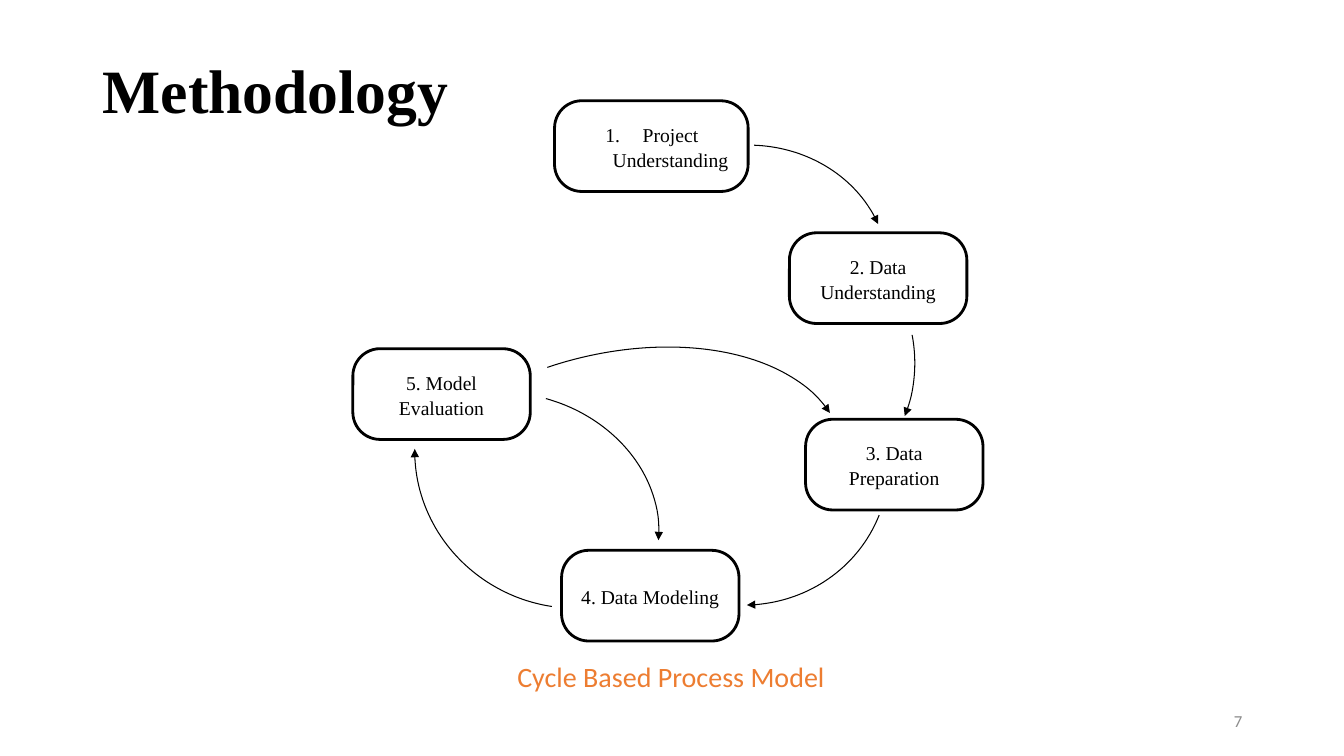
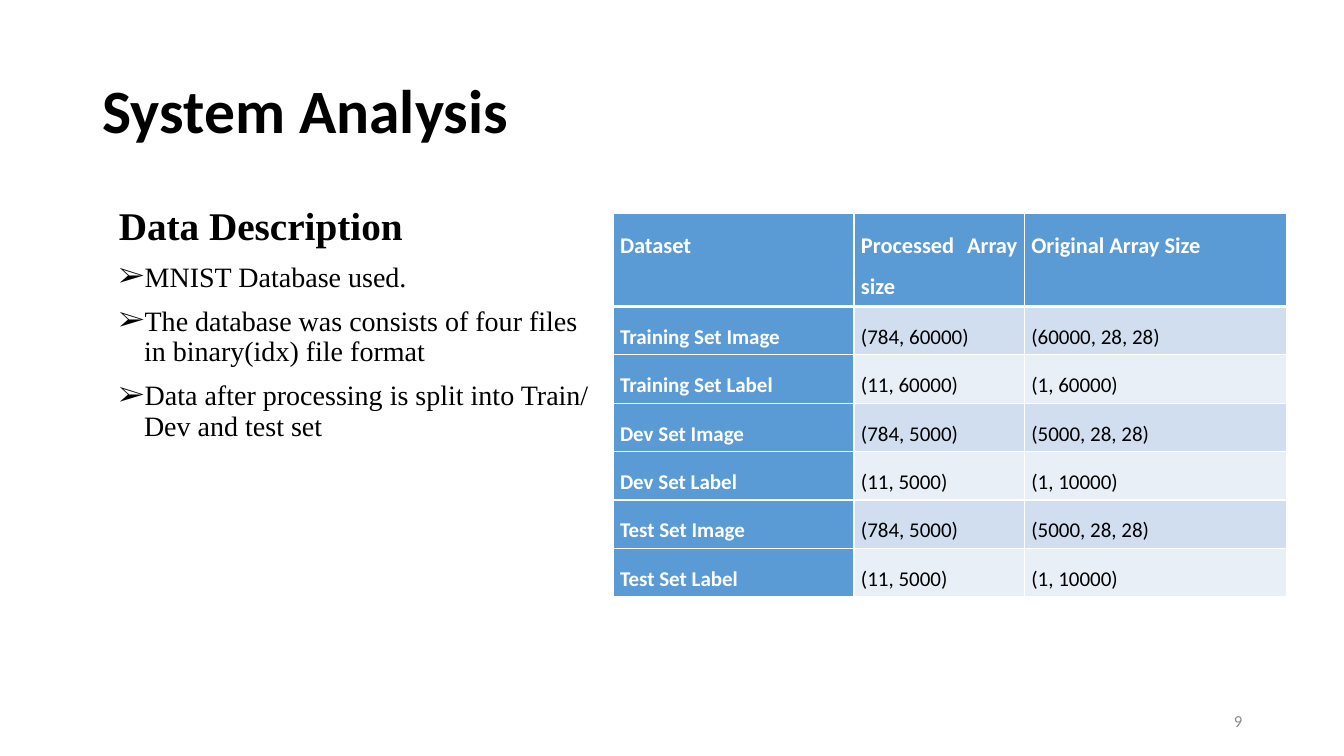
import dataclasses

import pptx
import pptx.dml.color
import pptx.enum.shapes
import pptx.enum.text
import pptx.oxml
import pptx.oxml.ns
import pptx.util
from lxml import etree

Inches = pptx.util.Inches
Pt = pptx.util.Pt
RGB = pptx.dml.color.RGBColor.from_string
ALIGN = pptx.enum.text.PP_ALIGN
MIDDLE = pptx.enum.text.MSO_ANCHOR.MIDDLE
SHAPE = pptx.enum.shapes.MSO_SHAPE
qn = pptx.oxml.ns.qn


@dataclasses.dataclass(frozen=True)
class Theme:
    ink: str = "000000"
    paper: str = "FFFFFF"
    muted: str = "8B8B8B"
    accent: str = "ED7D31"
    header: str = "5B9BD5"
    band_dark: str = "D1DEEF"
    band_light: str = "E9EFF7"
    serif: str = "Times New Roman"
    sans: str = "Calibri"
    title: int = 44
    heading: int = 28
    body: int = 20
    table_head: int = 16
    table_body: int = 15
    step: int = 14
    small: int = 12


theme = Theme()


def write(frame, text, size, font=theme.sans, color=theme.ink, bold=False, align=ALIGN.LEFT,
          spacing=1.0, before=0, after=0, anchor=None, bullet=None, indent=(0, 0)):
    """Fill the frame's first paragraph, or add one below the text already there."""
    frame.word_wrap = True
    if anchor is not None:
        frame.vertical_anchor = anchor
    paragraph = frame.add_paragraph() if frame.text else frame.paragraphs[0]
    paragraph.alignment = align
    paragraph.line_spacing = spacing
    paragraph.space_before, paragraph.space_after = Pt(before), Pt(after)
    run = paragraph.add_run()
    run.text = text
    run.font.size, run.font.name, run.font.bold = Pt(size), font, bold
    run.font.color.rgb = RGB(color)
    if bullet:
        properties = paragraph._p.get_or_add_pPr()
        properties.set("marL", str(Inches(indent[0])))
        properties.set("indent", str(Inches(indent[1])))
        bullet_color = etree.SubElement(properties, qn("a:buClr"))
        etree.SubElement(bullet_color, qn("a:srgbClr"), val=color)
        etree.SubElement(properties, qn("a:buFont"), typeface=font)
        if bullet == "number":
            etree.SubElement(properties, qn("a:buAutoNum"), type="arabicPeriod")
        else:
            etree.SubElement(properties, qn("a:buChar"), char=bullet)


def start_slide(title, title_font, title_height, page):
    """Add a blank slide with its title and page number."""
    slide = deck.slides.add_slide(deck.slide_layouts[6])
    heading = slide.shapes.add_textbox(Inches(0.92), Inches(0.4), Inches(11.5), Inches(title_height))
    write(heading.text_frame, title, theme.title, font=title_font, bold=True, spacing=0.9, anchor=MIDDLE)
    number = slide.shapes.add_textbox(Inches(9.42), Inches(6.95), Inches(3), Inches(0.4))
    write(number.text_frame, page, theme.small, color=theme.muted, align=ALIGN.RIGHT, anchor=MIDDLE)
    return slide


deck = pptx.Presentation()
deck.slide_width, deck.slide_height = Inches(13.33), Inches(7.5)

# Methodology: process steps
methodology = start_slide("Methodology", theme.serif, 1.05, "7")
steps = [
    # text, left, top, width, numbering
    ("Project Understanding", 5.5, 1, 1.92, "number"),
    ("2. Data Understanding", 7.83, 2.31, 1.76, None),
    ("3. Data Preparation", 7.99, 4.16, 1.76, None),
    ("4. Data Modeling", 5.57, 5.46, 1.76, None),
    ("5. Model Evaluation", 3.5, 3.46, 1.76, None),
]
for text, left, top, width, numbering in steps:
    step = methodology.shapes.add_shape(
        SHAPE.ROUNDED_RECTANGLE, Inches(left), Inches(top), Inches(width), Inches(0.9))
    step.adjustments[0] = 0.3
    step.shadow.inherit = False
    step.fill.solid()
    step.fill.fore_color.rgb = RGB(theme.paper)
    step.line.color.rgb = RGB(theme.ink)
    step.line.width = Pt(2)
    write(step.text_frame, text, theme.step, font=theme.serif, align=ALIGN.CENTER, spacing=1.07,
          anchor=MIDDLE, bullet=numbering, indent=(0.38, -0.37))

# Methodology: curved arrows between the steps
flows = [
    # left, top, width, height, rotation, start angle, end angle
    (6.04, 1.44, 2.77, 2.5, 0, 272.56, 340),
    (5.9, 3.07, 2.87, 2.98, 112.4, 269.28, 334.7),
    (4.1, 3.04, 3.11, 2.98, 207.2, 249.77, 335.66),
    (6.42, 2.26, 2.77, 2.5, 69, 282.45, 318.86),
    (3.62, 3.91, 2.93, 2.5, 16, 269.28, 351.85),
    (3.68, 3.52, 4.75, 2.9, 345.3, 259.39, 352.86),
]
ARC_UNITS_PER_DEGREE = 0.6
for left, top, width, height, rotation, start, end in flows:
    flow = methodology.shapes.add_shape(
        SHAPE.ARC, Inches(left), Inches(top), Inches(width), Inches(height))
    flow.adjustments[0] = start * ARC_UNITS_PER_DEGREE
    flow.adjustments[1] = end * ARC_UNITS_PER_DEGREE
    flow.rotation = rotation
    flow.shadow.inherit = False
    flow.fill.background()
    flow.line.color.rgb = RGB(theme.ink)
    flow.line.width = Pt(0.75)
    etree.SubElement(flow.line._get_or_add_ln(), qn("a:tailEnd"), type="triangle")

caption = methodology.shapes.add_textbox(Inches(3.74), Inches(6.27), Inches(5.83), Inches(0.88))
write(caption.text_frame, "Cycle Based Process Model", theme.body, color=theme.accent,
      align=ALIGN.CENTER, anchor=MIDDLE)

# System Analysis: data description
analysis = start_slide("System Analysis", theme.sans, 1.45, "9")
description = analysis.shapes.add_textbox(Inches(1.08), Inches(2), Inches(4.91), Inches(3.43)).text_frame
write(description, "Data Description", theme.heading, font=theme.serif, bold=True, spacing=0.9, before=10)
for point in (
    "MNIST Database used.",
    "The database was consists of four files in binary(idx) file format",
    "Data after processing is split into Train/ Dev and test set",
):
    write(description, point, theme.body, font=theme.serif, spacing=0.9, before=10,
          bullet="➢", indent=(0.25, -0.25))

# System Analysis: array sizes
array_sizes = [
    ("Dataset", "Processed Array size", "Original Array Size"),
    ("Training Set Image", "(784, 60000)", "(60000, 28, 28)"),
    ("Training Set Label", "(11, 60000)", "(1, 60000)"),
    ("Dev Set Image", "(784, 5000)", "(5000, 28, 28)"),
    ("Dev Set Label", "(11, 5000)", "(1, 10000)"),
    ("Test Set Image", "(784, 5000)", "(5000, 28, 28)"),
    ("Test Set Label", "(11, 5000)", "(1, 10000)"),
]
column_widths = (2.39, 1.69, 2.6)
row_heights = [0.92] + [0.48] * (len(array_sizes) - 1)
sizes_table = analysis.shapes.add_table(
    len(array_sizes), len(column_widths), Inches(6.08), Inches(2.12),
    Inches(sum(column_widths)), Inches(sum(row_heights))).table
sizes_table.horz_banding = False
for column, width in zip(sizes_table.columns, column_widths):
    column.width = Inches(width)
for r, (values, height) in enumerate(zip(array_sizes, row_heights)):
    sizes_table.rows[r].height = Inches(height)
    for c, value in enumerate(values):
        cell = sizes_table.cell(r, c)
        is_header = r == 0 or c == 0
        cell.margin_left = cell.margin_right = Inches(0.07)
        cell.margin_top = cell.margin_bottom = Inches(0.05)
        cell.fill.solid()
        band = theme.band_dark if r % 2 else theme.band_light
        cell.fill.fore_color.rgb = RGB(theme.header if is_header else band)
        write(cell.text_frame, value, theme.table_body if r else theme.table_head,
              color=theme.paper if is_header else theme.ink, bold=is_header,
              align=ALIGN.JUSTIFY, spacing=1.5, after=6)
        # White rules, heavier under the header row
        for position, side in enumerate(("lnL", "lnR", "lnT", "lnB")):
            under_header = (r, side) in ((0, "lnB"), (1, "lnT"))
            rule = etree.Element(qn("a:" + side), w=str(Pt(3 if under_header else 0.96)))
            rule_fill = etree.SubElement(rule, qn("a:solidFill"))
            etree.SubElement(rule_fill, qn("a:srgbClr"), val=theme.paper)
            cell._tc.get_or_add_tcPr().insert(position, rule)

deck.save("out.pptx")
